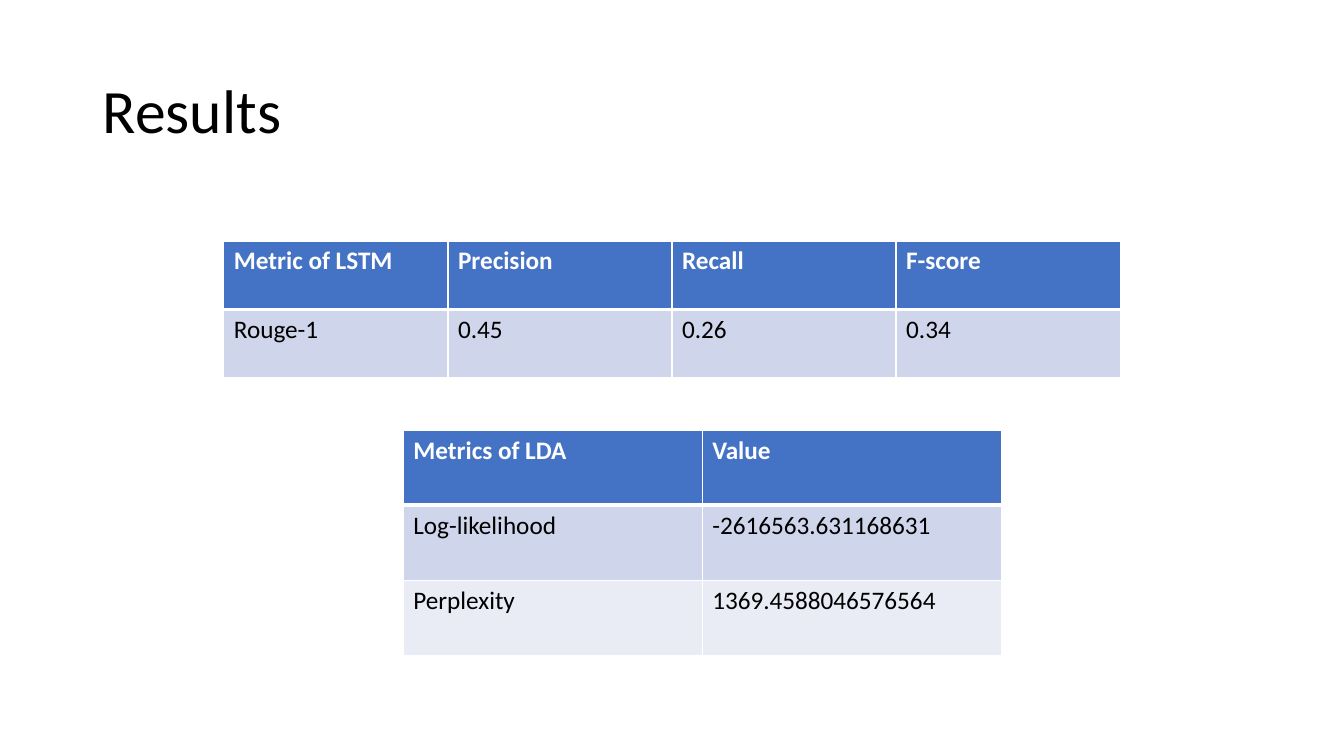
from lxml.etree import SubElement
from pptx import Presentation
from pptx.dml.color import RGBColor
from pptx.enum.text import MSO_ANCHOR, PP_ALIGN
from pptx.oxml.ns import qn
from pptx.util import Inches, Pt

TITLE_ONLY = 5


def color(hex_string):
    return RGBColor.from_string(hex_string)


class SlideBuilder:
    font_name = "Calibri"
    text_color = "000000"
    header_color = "4472C4"
    band_colors = ("CFD5EA", "E9EBF5")
    border_color = "FFFFFF"

    def __init__(self, presentation):
        self.slide = presentation.slides.add_slide(presentation.slide_layouts[TITLE_ONLY])

    def style_font(self, paragraph, size, hex_string, bold=False):
        font = paragraph.font
        font.name = self.font_name
        font.size = Pt(size)
        font.bold = bold
        font.color.rgb = color(hex_string)

    def title(self, text, left, top, width, height):
        shape = self.slide.shapes.title
        shape.left, shape.top = Inches(left), Inches(top)
        shape.width, shape.height = Inches(width), Inches(height)
        shape.text_frame.text = text
        shape.text_frame.vertical_anchor = MSO_ANCHOR.MIDDLE
        paragraph = shape.text_frame.paragraphs[0]
        paragraph.alignment = PP_ALIGN.LEFT
        paragraph.line_spacing = 0.9
        self.style_font(paragraph, 44, self.text_color)

    def border(self, cell, top, bottom):
        """Draw the four cell edges; top and bottom are widths in points."""
        properties = cell._tc.get_or_add_tcPr()
        for edge, width in (("lnL", 1), ("lnR", 1), ("lnT", top), ("lnB", bottom)):
            line = SubElement(properties, qn(f"a:{edge}"), w=str(Pt(width)))
            fill = SubElement(line, qn("a:solidFill"))
            SubElement(fill, qn("a:srgbClr"), val=self.border_color)

    def table(self, rows, left, top, width, height):
        """Add a table with a header row, banded body rows and equal cells."""
        frame = self.slide.shapes.add_table(
            len(rows), len(rows[0]), Inches(left), Inches(top), Inches(width), Inches(height))
        for row_index, row in enumerate(rows):
            is_header = row_index == 0
            band = self.band_colors[(row_index - 1) % 2]
            for column_index, text in enumerate(row):
                cell = frame.table.cell(row_index, column_index)
                cell.text = text
                self.style_font(cell.text_frame.paragraphs[0], 18,
                                self.border_color if is_header else self.text_color, is_header)
                self.border(cell, top=3 if row_index == 1 else 1, bottom=3 if is_header else 1)
                cell.fill.solid()
                cell.fill.fore_color.rgb = color(self.header_color if is_header else band)


def main():
    presentation = Presentation()
    presentation.slide_width = Inches(13.33)
    presentation.slide_height = Inches(7.5)

    builder = SlideBuilder(presentation)
    builder.title("Results", 0.92, 0.4, 11.5, 1.45)
    builder.table([
        ("Metrics of LDA", "Value"),
        ("Log-likelihood", "-2616563.631168631"),
        ("Perplexity", "1369.4588046576564"),
    ], 4, 4.27, 5.93, 2.23)
    builder.table([
        ("Metric of LSTM", "Precision", "Recall", "F-score"),
        ("Rouge-1", "0.45", "0.26", "0.34"),
    ], 2.22, 2.39, 8.89, 1.36)
    presentation.save("out.pptx")


if __name__ == "__main__":
    main()
